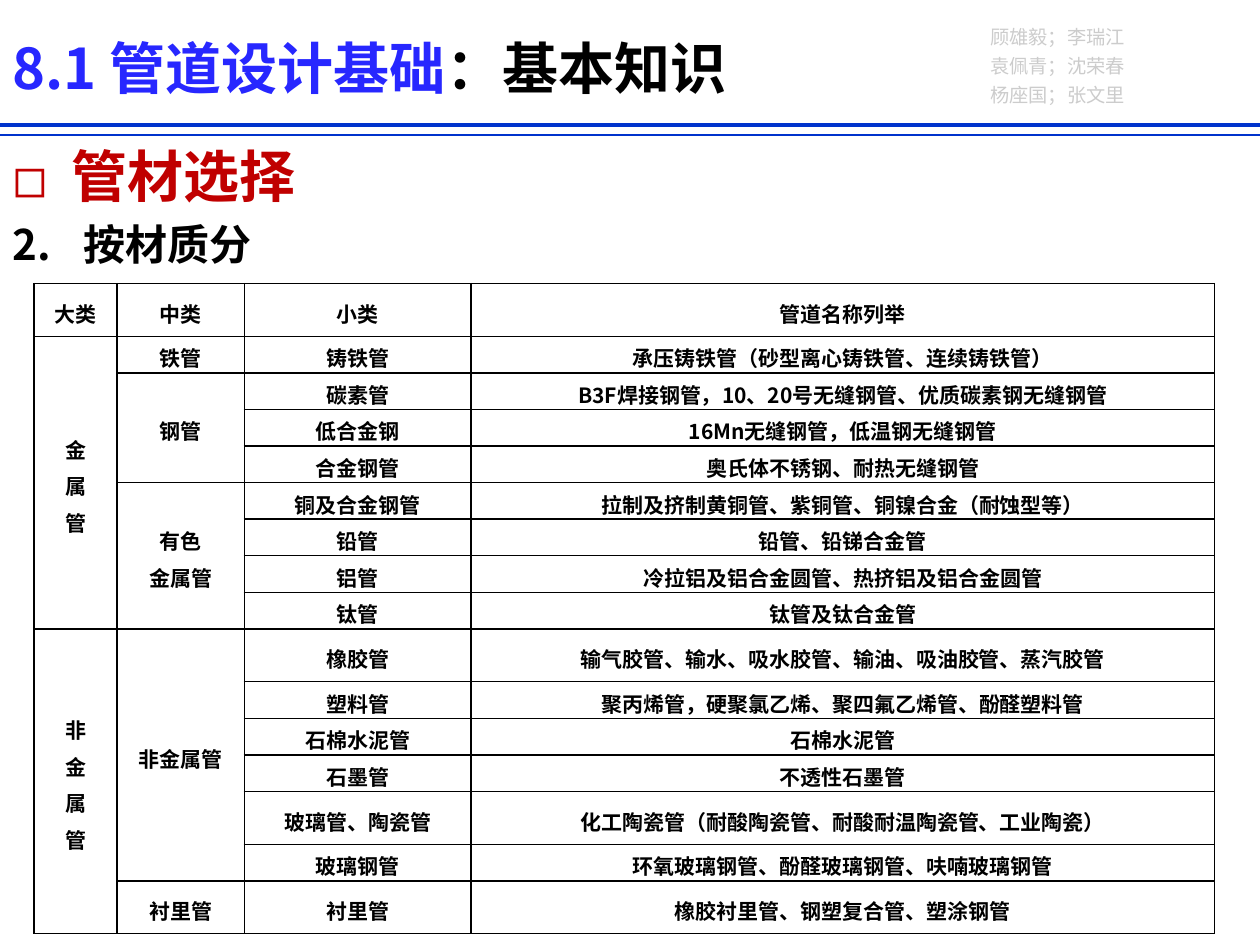
from lxml.etree import SubElement
from pptx import Presentation
from pptx.dml.color import RGBColor
from pptx.enum.shapes import MSO_CONNECTOR
from pptx.enum.text import MSO_ANCHOR as Anchor, MSO_AUTO_SIZE as AutoSize, PP_ALIGN as Align
from pptx.oxml import parse_xml
from pptx.oxml.ns import nsdecls, qn
from pptx.util import Inches, Pt

THEME = {
    "font": "Noto Sans CJK SC",
    "black": "000000", "title": "2727FF", "topic": "C00000",
    "authors": "CCCCCC", "rule": "0033CC",
    "title_size": 32, "topic_size": 32, "item_size": 24,
    "cell_size": 12, "authors_size": 11,
}


def add_run(paragraph, text, size, color, bold=True):
    """Add a run whose Latin and East Asian fonts are both the theme font."""
    run = paragraph.add_run()
    run.text = text
    run.font.size = Pt(THEME[size])
    run.font.bold = bold
    run.font.color.rgb = RGBColor.from_string(THEME[color])
    run.font.name = THEME["font"]
    SubElement(run.font._element, qn("a:ea"), typeface=THEME["font"])


def format_paragraph(paragraph, **values):
    for name, value in values.items():
        setattr(paragraph, name, value)


prs = Presentation()
prs.slide_width, prs.slide_height = Inches(10), Inches(7.5)
slide = prs.slides.add_slide(prs.slide_layouts[1])

# Title, topic list and author names
title, topics = slide.placeholders
authors = slide.shapes.add_textbox(0, 0, 0, 0)
for box, left, top, width, height, anchor in (
    (title, 0, 0.21, 10, 0.64, Anchor.MIDDLE),
    (topics, 0, 1.07, 9.81, 1.1, Anchor.TOP),
    (authors, 7.76, 0.11, 1.42, 0.77, Anchor.TOP),
):
    box.left, box.top = Inches(left), Inches(top)
    box.width, box.height = Inches(width), Inches(height)
    box.text_frame.word_wrap = True
    box.text_frame.auto_size = AutoSize.NONE
    box.text_frame.vertical_anchor = anchor

heading = title.text_frame.paragraphs[0]
heading.alignment = Align.LEFT
add_run(heading, "8.1 管道设计基础", "title_size", "title")
add_run(heading, "：基本知识", "title_size", "black")

topic = topics.text_frame.paragraphs[0]
item = topics.text_frame.add_paragraph()
for paragraph, indent, bullet, attributes in (
    (topic, 0.47, "a:buChar", {"char": "◻"}),
    (item, 0.56, "a:buAutoNum", {"type": "arabicPeriod", "startAt": "2"}),
):
    properties = paragraph._p.get_or_add_pPr()
    properties.set("marL", str(Inches(indent)))
    properties.set("indent", str(-Inches(indent)))
    SubElement(properties, qn("a:buFont"), typeface=THEME["font"])
    SubElement(properties, qn(bullet), attributes)
format_paragraph(topic, space_before=Pt(0), line_spacing=1.0)
format_paragraph(item, space_before=Pt(0), line_spacing=1.2, alignment=Align.JUSTIFY)
add_run(topic, "管材选择", "topic_size", "topic")
add_run(item, "按材质分", "item_size", "black")

for number, names in enumerate(("顾雄毅；李瑞江", "袁佩青；沈荣春", "杨座国；张文里")):
    frame = authors.text_frame
    line = frame.add_paragraph() if number else frame.paragraphs[0]
    format_paragraph(line, line_spacing=1.25, alignment=Align.JUSTIFY)
    add_run(line, names, "authors_size", "authors", bold=False)

# Double rule under the title
for y, weight in ((0.99, 2.25), (1.07, 1)):
    rule = slide.shapes.add_connector(
        MSO_CONNECTOR.STRAIGHT, 0, Inches(y), Inches(10), Inches(y))
    rule.line.color.rgb = RGBColor.from_string(THEME["rule"])
    rule.line.width = Pt(weight)
    SubElement(rule._element.spPr, qn("a:effectLst"))

# Pipe classification: an empty string continues the cell above
PIPES = (
    ("大类", "中类", "小类", "管道名称列举"),
    ("金\n属\n管", "铁管", "铸铁管", "承压铸铁管（砂型离心铸铁管、连续铸铁管）"),
    ("", "钢管", "碳素管", "B3F焊接钢管，10、20号无缝钢管、优质碳素钢无缝钢管"),
    ("", "", "低合金钢", "16Mn无缝钢管，低温钢无缝钢管"),
    ("", "", "合金钢管", "奥氏体不锈钢、耐热无缝钢管"),
    ("", "有色\n金属管", "铜及合金钢管", "拉制及挤制黄铜管、紫铜管、铜镍合金（耐蚀型等）"),
    ("", "", "铅管", "铅管、铅锑合金管"),
    ("", "", "铝管", "冷拉铝及铝合金圆管、热挤铝及铝合金圆管"),
    ("", "", "钛管", "钛管及钛合金管"),
    ("非\n金\n属\n管", "非金属管", "橡胶管", "输气胶管、输水、吸水胶管、输油、吸油胶管、蒸汽胶管"),
    ("", "", "塑料管", "聚丙烯管，硬聚氯乙烯、聚四氟乙烯管、酚醛塑料管"),
    ("", "", "石棉水泥管", "石棉水泥管"),
    ("", "", "石墨管", "不透性石墨管"),
    ("", "", "玻璃管、陶瓷管", "化工陶瓷管（耐酸陶瓷管、耐酸耐温陶瓷管、工业陶瓷）"),
    ("", "", "玻璃钢管", "环氧玻璃钢管、酚醛玻璃钢管、呋喃玻璃钢管"),
    ("", "衬里管", "衬里管", "橡胶衬里管、钢塑复合管、塑涂钢管"),
)
COLUMNS = (0.66, 1.01, 1.8, 5.9)
TABLE_HEIGHT = 5.12
TALL_ROWS, TALL = (0, 9, 13, 15), 0.42
SHORT = (TABLE_HEIGHT - TALL * len(TALL_ROWS)) / (len(PIPES) - len(TALL_ROWS))
CELL_FORMAT = {
    "vertical_anchor": Anchor.MIDDLE,
    "margin_left": Inches(0.1), "margin_right": Inches(0.1),
    "margin_top": 0, "margin_bottom": 0,
}

pipes = slide.shapes.add_table(
    len(PIPES), len(COLUMNS), Inches(0.27), Inches(2.25),
    Inches(sum(COLUMNS)), Inches(TABLE_HEIGHT)).table
pipes.first_row = pipes.horz_banding = False
for column, width in zip(pipes.columns, COLUMNS):
    column.width = Inches(width)
for r, row in enumerate(pipes.rows):
    row.height = Inches(TALL if r in TALL_ROWS else SHORT)

for r, entries in enumerate(PIPES):
    for c, entry in enumerate(entries):
        cell = pipes.cell(r, c)
        for name, value in CELL_FORMAT.items():
            setattr(cell, name, value)
        cell.fill.background()
        for position, side in enumerate(("lnL", "lnR", "lnT", "lnB")):
            cell._tc.tcPr.insert(position, parse_xml(
                f'<a:{side} {nsdecls("a")} w="{Pt(1)}"><a:solidFill>'
                f'<a:srgbClr val="{THEME["black"]}"/></a:solidFill></a:{side}>'))
        for number, text in enumerate(entry.split("\n")):
            frame = cell.text_frame
            line = frame.add_paragraph() if number else frame.paragraphs[0]
            format_paragraph(line, alignment=Align.CENTER, line_spacing=1.2)
            if text:
                add_run(line, text, "cell_size", "black")
            else:
                line.font.size = Pt(THEME["cell_size"])

for c in range(2):
    starts = [r for r, entries in enumerate(PIPES) if entries[c]]
    for start, following in zip(starts, starts[1:] + [len(PIPES)]):
        if following - start > 1:
            pipes.cell(start, c).merge(pipes.cell(following - 1, c))

prs.save("out.pptx")
